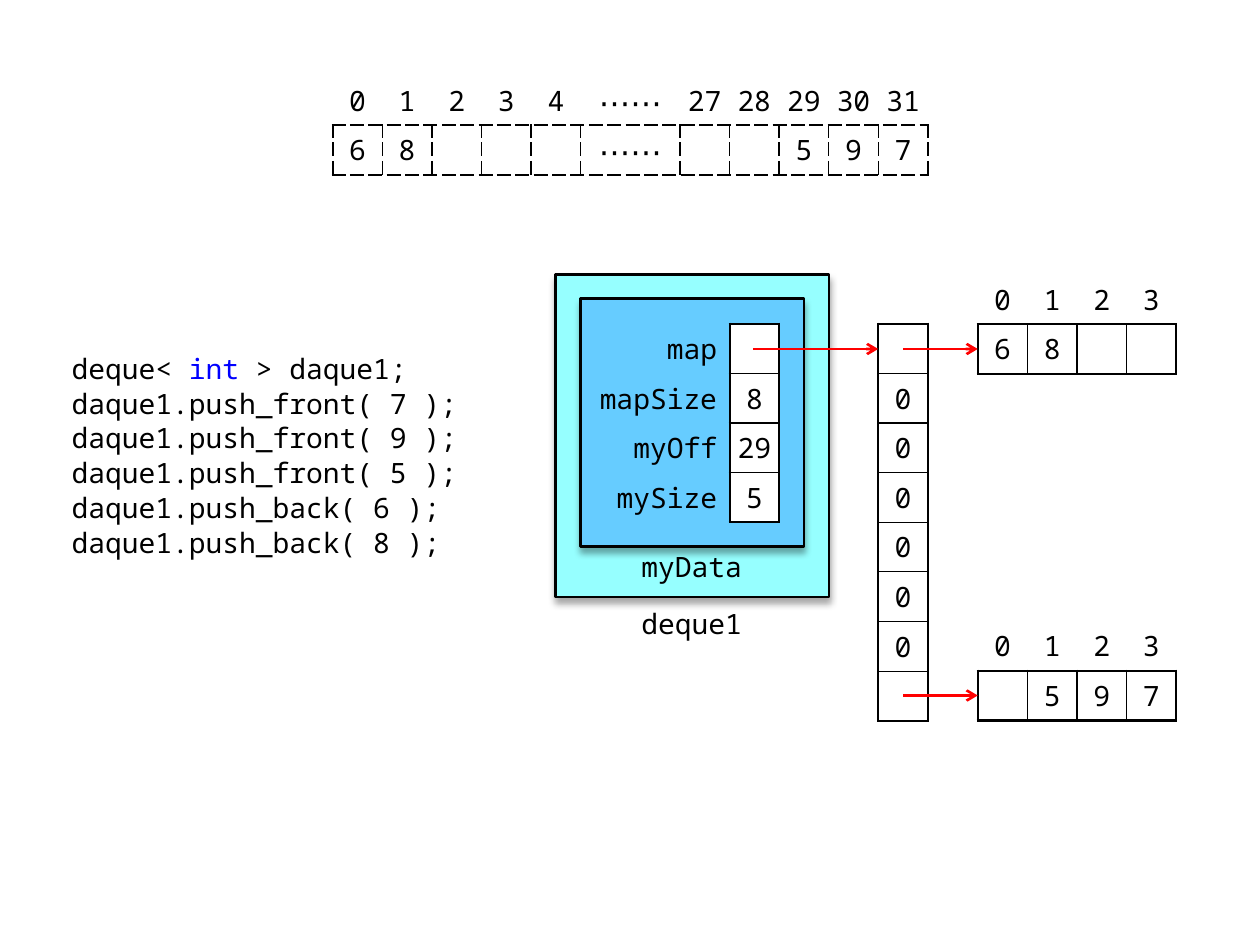
from lxml.etree import SubElement
from pptx import Presentation
from pptx.dml.color import RGBColor
from pptx.enum.shapes import MSO_CONNECTOR, MSO_SHAPE
from pptx.enum.text import MSO_ANCHOR, PP_ALIGN
from pptx.oxml.ns import qn
from pptx.util import Inches, Pt

COLORS = {"text": "000000", "keyword": "0000FF", "arrow": "FF0000",
          "object": "96FFFF", "data": "66CCFF", "cell": "FFFFFF"}
FONT = "Noto Sans Mono"
NO_STYLE = "{2D5ABB26-0587-4C30-8999-92F81FD0307C}"
CELL = Inches(3.15) // 8
DOTS = "⋯⋯"

CODE = [
    [("deque< ", "text"), ("int", "keyword"), (" > daque1;", "text")],
    *[[(f"daque1.{call};", "text")] for call in (
        "push_front( 7 )", "push_front( 9 )", "push_front( 5 )",
        "push_back( 6 )", "push_back( 8 )")],
]
BOXES = [(4.41, 2.18, 2.17, 2.56, "object"), (4.61, 2.37, 1.77, 1.97, "data")]
CAPTIONS = [("deque1", 4.8, 4.73, 1.38, 0.04, MSO_ANCHOR.MIDDLE),
            ("myData", 5, 4.34, 0.98, 0.02, MSO_ANCHOR.TOP)]
BLOCK_INDEXES = ["0", "1", "2", "3"]
TABLES = [
    {"at": (4.61, 2.57), "units": [3, 1], "label_columns": 1,
     "rows": [["map", ""], ["mapSize", "8"], ["myOff", "29"], ["mySize", "5"]]},
    {"at": (6.97, 2.57), "units": [1], "rows": [[""], *[["0"]] * 6, [""]]},
    {"at": (2.64, 0.6), "units": [1] * 5 + [2] + [1] * 5, "label_rows": 1,
     "inner": 1, "dash": "sysDash",
     "rows": [["0", "1", "2", "3", "4", DOTS, "27", "28", "29", "30", "31"],
              ["6", "8", "", "", "", DOTS, "", "", "5", "9", "7"]]},
    {"at": (7.76, 2.18), "units": [1] * 4, "label_rows": 1,
     "rows": [BLOCK_INDEXES, ["6", "8", "", ""]]},
    {"at": (7.76, 4.93), "units": [1] * 4, "label_rows": 1,
     "rows": [BLOCK_INDEXES, ["", "5", "9", "7"]]},
]
ARROWS = [(5.98, 6.97, 2.77), (7.17, 7.76, 2.77), (7.17, 7.76, 5.52)]


def color(name):
    return RGBColor.from_string(COLORS[name])


def write(paragraph, text, name="text", size=16, align=None):
    paragraph.alignment = align
    run = paragraph.add_run()
    run.text = text
    run.font.name = FONT
    run.font.size = Pt(size)
    run.font.color.rgb = color(name)
    properties = run._r.get_or_add_rPr()
    SubElement(properties, qn("a:ea")).set("typeface", FONT)


def set_border(cell, side, width, dash):
    properties = cell._tc.get_or_add_tcPr()
    line = SubElement(properties, qn(f"a:ln{side}"), w=str(Pt(width)))
    fill = SubElement(line, qn("a:solidFill"))
    SubElement(fill, qn("a:srgbClr"), val=COLORS["text"])
    SubElement(line, qn("a:prstDash"), val=dash)


def add_grid(slide, at, units, rows, label_rows=0, label_columns=0,
             inner=0.75, dash="solid"):
    left, top = map(Inches, at)
    frame = slide.shapes.add_table(len(rows), len(units), left, top,
                                   CELL * sum(units), CELL * len(rows))
    table = frame.table
    table.first_row = table.horz_banding = False
    table._tbl.tblPr.find(qn("a:tableStyleId")).text = NO_STYLE
    for column, unit in zip(table.columns, units):
        column.width = CELL * unit
    for y, row in enumerate(rows):
        table.rows[y].height = CELL
        for x, text in enumerate(row):
            cell = table.cell(y, x)
            is_label = x < label_columns
            cell.vertical_anchor = MSO_ANCHOR.MIDDLE
            cell.margin_top = cell.margin_bottom = Inches(0.04)
            cell.margin_left = cell.margin_right = Inches(0.1 if is_label else 0.04)
            if text:
                write(cell.text_frame.paragraphs[0], text,
                      size=18 if text == DOTS else 16,
                      align=PP_ALIGN.RIGHT if is_label else PP_ALIGN.CENTER)
            if is_label or y < label_rows:
                cell.fill.background()
                continue
            edges = {"L": x == label_columns, "R": x == len(units) - 1,
                     "T": y == label_rows, "B": y == len(rows) - 1}
            for side, is_outer in edges.items():
                set_border(cell, side, 1.5 if is_outer else inner, dash)
            cell.fill.solid()
            cell.fill.fore_color.rgb = color("cell")


def add_box(slide, left, top, width, height, name):
    box = slide.shapes.add_shape(MSO_SHAPE.FLOWCHART_PROCESS, Inches(left),
                                 Inches(top), Inches(width), Inches(height))
    box.fill.solid()
    box.fill.fore_color.rgb = color(name)
    box.line.color.rgb = color("text")
    box.line.width = Pt(1.5)
    box.shadow.inherit = False
    effects = box._element.spPr.find(qn("a:effectLst"))
    shadow = SubElement(effects, qn("a:outerShdw"), blurRad=str(Pt(4)),
                        dist=str(Pt(3)), dir="5400000", rotWithShape="0")
    tint = SubElement(shadow, qn("a:srgbClr"), val=COLORS["text"])
    SubElement(tint, qn("a:alpha"), val="35000")


def add_arrow(slide, start, end, y):
    arrow = slide.shapes.add_connector(MSO_CONNECTOR.STRAIGHT, Inches(start),
                                       Inches(y), Inches(end), Inches(y))
    arrow.line.color.rgb = color("arrow")
    arrow.line.width = Pt(1.5)
    SubElement(arrow.line._get_or_add_ln(), qn("a:tailEnd"), type="arrow")
    SubElement(arrow._element.spPr, qn("a:effectLst"))


def add_text_frame(slide, left, top, width, height):
    box = slide.shapes.add_textbox(Inches(left), Inches(top),
                                   Inches(width), Inches(height))
    box.text_frame.word_wrap = True
    return box.text_frame


presentation = Presentation()
presentation.slide_width, presentation.slide_height = Inches(10), Inches(7.5)
slide = presentation.slides.add_slide(presentation.slide_layouts[6])

for box in BOXES:
    add_box(slide, *box)

for text, left, top, width, margin_top, anchor in CAPTIONS:
    frame = add_text_frame(slide, left, top, width, 0.39)
    frame.vertical_anchor = anchor
    frame.margin_left = frame.margin_right = Inches(0.08)
    frame.margin_top, frame.margin_bottom = Inches(margin_top), 0
    write(frame.paragraphs[0], text, align=PP_ALIGN.CENTER)

code_frame = add_text_frame(slide, 0.47, 2.77, 3.35, 1.97)
for index, parts in enumerate(CODE):
    paragraph = code_frame.add_paragraph() if index else code_frame.paragraphs[0]
    paragraph.line_spacing = 0.9
    paragraph.space_before = Pt(2.6)
    for text, name in parts:
        write(paragraph, text, name)

for table in TABLES:
    add_grid(slide, **table)
for arrow in ARROWS:
    add_arrow(slide, *arrow)

presentation.save("out.pptx")
